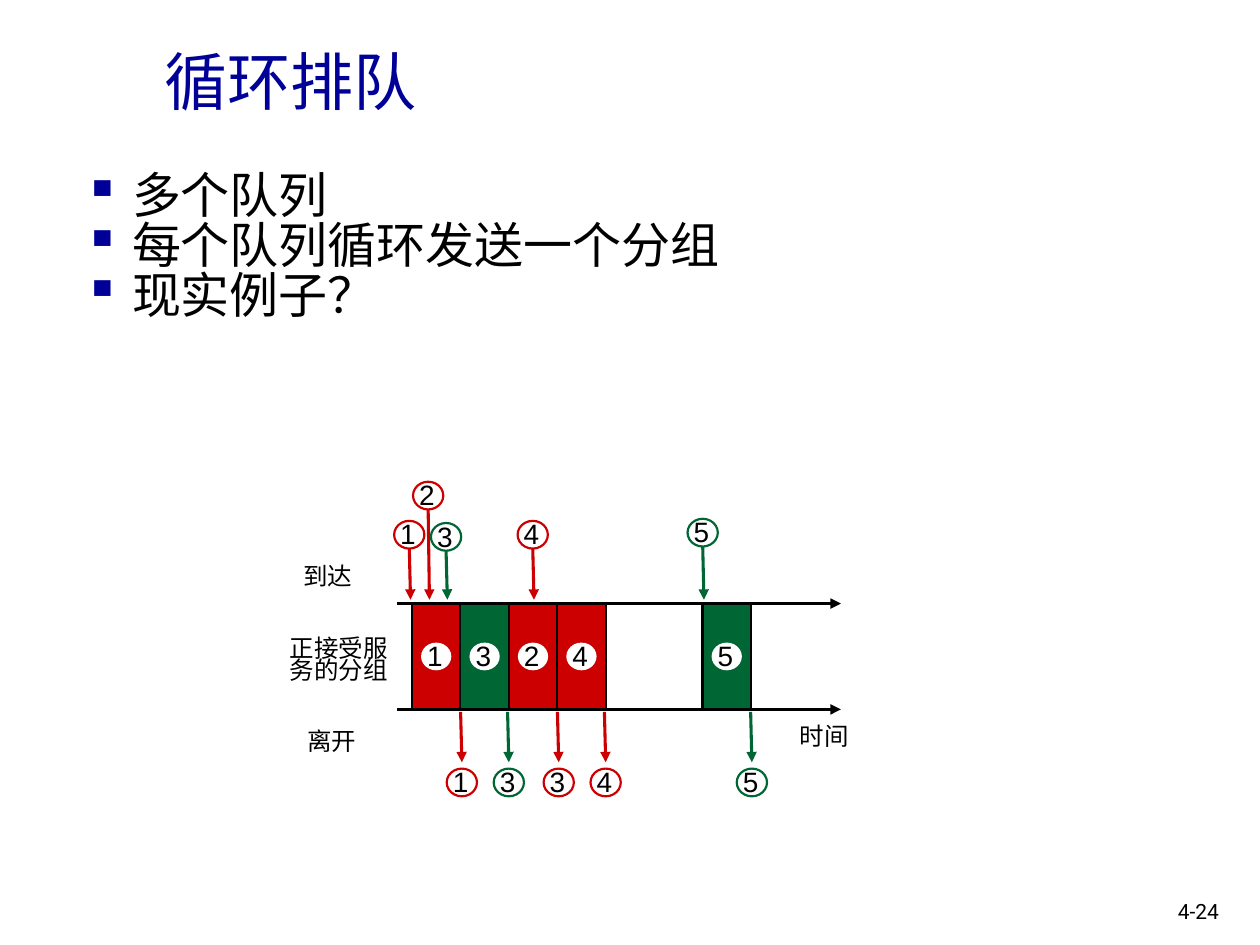
from collections import namedtuple

from lxml.etree import SubElement
from pptx import Presentation
from pptx.dml.color import RGBColor
from pptx.enum.shapes import MSO_CONNECTOR, MSO_SHAPE
from pptx.enum.text import MSO_ANCHOR, PP_ALIGN
from pptx.oxml.ns import qn
from pptx.util import Inches, Pt

Box = namedtuple("Box", "left top width height")

CHINESE, DIGITS, PAGE = "Noto Sans CJK SC", "Arial", "Roboto"
BLUE, RED, GREEN, BLACK, WHITE = "000099", "CC0000", "006633", "000000", "FFFFFF"
CIRCLE_WIDTH, CIRCLE_HEIGHT = 0.24, 0.22

# Column of the left edge, packet number, colour
SERVED = [(0, "1", RED), (1, "3", GREEN), (2, "2", RED), (3, "4", RED), (6, "5", GREEN)]
# Column of the arrow tip, packet number, colour, rows from circle centre to axis
ARRIVALS = [(-0.03, "1", RED, 0.65), (0.36, "2", RED, 1.02), (0.73, "3", GREEN, 0.63),
            (2.52, "4", RED, 0.65), (6.03, "5", GREEN, 0.67)]
# Column of the arrow tip, packet number, colour
DEPARTURES = [(1.03, "1", RED), (2, "3", GREEN), (3.03, "3", RED),
              (4, "4", RED), (7.02, "5", GREEN)]


def color(value):
    return RGBColor.from_string(value)


def add_run(paragraph, text, size, font, fill=BLACK):
    run = paragraph.add_run()
    run.text = text
    run.font.size = Pt(size)
    run.font.name = font
    run.font.color.rgb = color(fill)
    properties = run._r.get_or_add_rPr()
    SubElement(properties, qn("a:ea")).set("typeface", font)


def add_text_frame(slide, box, wrap=True):
    frame = slide.shapes.add_textbox(*map(Inches, box)).text_frame
    frame.word_wrap = wrap
    return frame


def add_label(slide, box, text, size, font, wrap=False):
    paragraph = add_text_frame(slide, box, wrap).paragraphs[0]
    add_run(paragraph, text, size, font)
    return paragraph


def add_arrow(slide, start, end, line, width):
    points = map(Inches, (*start, *end))
    arrow = slide.shapes.add_connector(MSO_CONNECTOR.STRAIGHT, *points)
    arrow.line.color.rgb = color(line)
    arrow.line.width = Pt(width)
    SubElement(arrow.line._get_or_add_ln(), qn("a:tailEnd")).set("type", "triangle")
    SubElement(arrow._element.spPr, qn("a:effectLst"))


def add_filled_shape(slide, kind, box, fill, line=None):
    shape = slide.shapes.add_shape(kind, *map(Inches, box))
    shape.shadow.inherit = False
    shape.fill.solid()
    shape.fill.fore_color.rgb = color(fill)
    if line:
        shape.line.color.rgb = color(line)
        shape.line.width = Pt(1.25)
    else:
        shape.line.fill.background()


def add_packet(slide, x, y, number, line=None):
    """A numbered circle centred on x, y."""
    circle = Box(x - CIRCLE_WIDTH / 2, y - CIRCLE_HEIGHT / 2, CIRCLE_WIDTH, CIRCLE_HEIGHT)
    add_filled_shape(slide, MSO_SHAPE.OVAL, circle, WHITE, line)
    add_label(slide, Box(x - 0.17, y - 0.19, 0.33, 0.37), number, 16, DIGITS)


def add_title(slide, box):
    frame = add_text_frame(slide, box)
    frame.vertical_anchor = MSO_ANCHOR.MIDDLE
    add_run(frame.paragraphs[0], "循环排队", 36, CHINESE, BLUE)


def add_bullets(slide, box):
    frame = add_text_frame(slide, box)
    for index, text in enumerate(["多个队列", "每个队列循环发送一个分组", "现实例子？"]):
        paragraph = frame.paragraphs[0] if index == 0 else frame.add_paragraph()
        paragraph.line_spacing = 0.85
        properties = paragraph._p.get_or_add_pPr()
        properties.set("marL", str(Inches(0.38)))
        properties.set("indent", str(-Inches(0.38)))
        bullet_color = SubElement(properties, qn("a:buClr"))
        SubElement(bullet_color, qn("a:srgbClr")).set("val", BLUE)
        SubElement(properties, qn("a:buChar")).set("char", "▪")
        add_run(paragraph, text, 28, CHINESE)


def add_timeline(slide, box, columns=7):
    """The box spans the served packets; its edges are the two time axes."""
    column = box.width / columns
    bottom = box.top + box.height

    def x_at(position):
        return box.left + position * column

    # Time axes
    for y in (box.top, bottom):
        add_arrow(slide, (x_at(-0.31), y), (x_at(8.86), y), BLACK, 2)

    # Packets in service
    for position, number, fill in SERVED:
        bar = Box(x_at(position), box.top, column, box.height)
        add_filled_shape(slide, MSO_SHAPE.RECTANGLE, bar, fill, BLACK)
        add_packet(slide, x_at(position + 0.5), box.top + box.height / 2, number)

    # Arrivals above
    for position, number, line, rows in ARRIVALS:
        x, y = x_at(position) - 0.01, box.top - rows * box.height
        add_arrow(slide, (x, y + CIRCLE_HEIGHT / 2), (x + 0.01, box.top - 0.03), line, 1.75)
        add_packet(slide, x, y, number, line)

    # Departures below
    for position, number, line in DEPARTURES:
        x = x_at(position)
        add_arrow(slide, (x - 0.01, bottom + 0.02), (x, bottom + 0.42), line, 1.75)
        add_packet(slide, x, bottom + 0.58, number, line)

    # Row and axis labels
    for text, left, top in [("到达", -0.96, -0.39), ("离开", -0.93, 0.92), ("时间", 2.98, 0.88)]:
        label = Box(box.left + left, box.top + top, 0.59, 0.34)
        add_label(slide, label, text, 14, CHINESE)
    service = Box(box.left - 1.13, box.top + 0.24, 1.1, 0.47)
    paragraph = add_label(slide, service, "正接受服务的分组", 14, CHINESE, wrap=True)
    paragraph.alignment = PP_ALIGN.CENTER
    paragraph.line_spacing = Pt(12.8)


def main():
    presentation = Presentation()
    presentation.slide_width, presentation.slide_height = Inches(10), Inches(7.5)
    slide = presentation.slides.add_slide(presentation.slide_layouts[6])
    add_title(slide, Box(1.21, 0.01, 8.5, 1.25))
    add_bullets(slide, Box(0.57, 1.33, 8.5, 0.83))
    add_timeline(slide, Box(3.27, 4.79, 2.69, 0.84))
    add_label(slide, Box(9.25, 7.08, 0.61, 0.3), "4-24", 12, PAGE, wrap=True)
    presentation.save("out.pptx")


if __name__ == "__main__":
    main()
